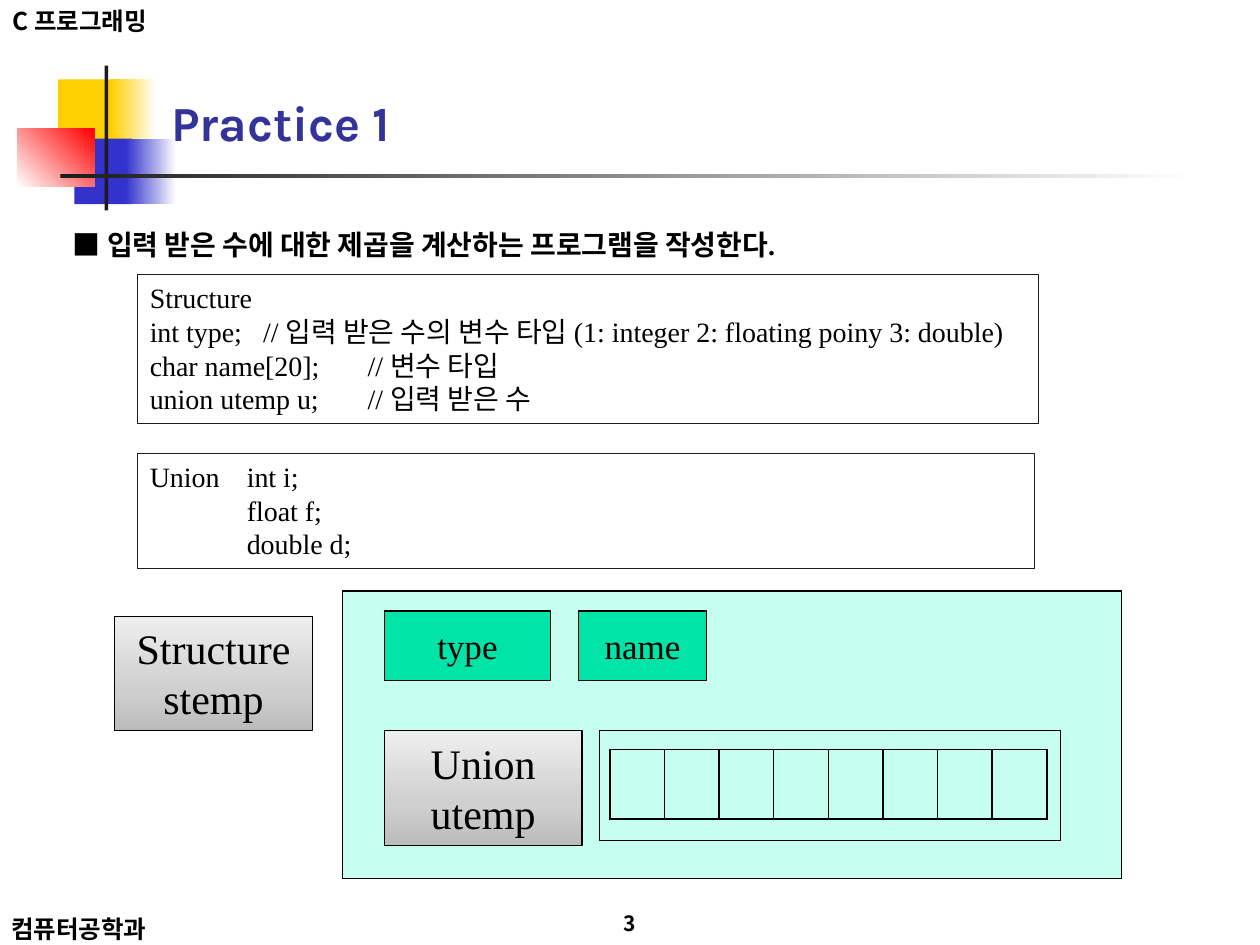
from lxml.etree import SubElement
from pptx import Presentation
from pptx.dml.color import RGBColor
from pptx.enum.shapes import MSO_SHAPE
from pptx.enum.text import MSO_ANCHOR, PP_ALIGN
from pptx.oxml.ns import qn
from pptx.util import Inches, Pt

COLORS = {
    "black": "000000", "white": "FFFFFF", "ink": "1C1C1C", "title": "333399",
    "yellow": "FFCF01", "blue": "3333CC", "red": "FF0000",
    "mint": "C6FFEF", "green": "00E4A8",
    "dark gray": "BBBBBB", "mid gray": "CFCFCF", "light gray": "EEEEEE",
}
GRAY_STOPS = [(0, "dark gray"), (35, "mid gray"), (100, "light gray")]
SERIF, SANS = "Times New Roman", "Noto Sans CJK KR"


def add_box(place, fill=None, angle=0, line=None):
    """Add a rectangle; fill is a colour name or a list of (percent, colour name) stops."""
    box = page.shapes.add_shape(MSO_SHAPE.RECTANGLE, *map(Inches, place))
    box.shadow.inherit = False
    if isinstance(fill, list):
        box.fill.gradient()
        box.fill.gradient_angle = angle
        stops = box._element.spPr.find(qn("a:gradFill")).find(qn("a:gsLst"))
        stops.clear()
        for percent, color in fill:
            stop = SubElement(stops, qn("a:gs"), pos=str(percent * 1000))
            SubElement(stop, qn("a:srgbClr"), val=COLORS[color])
    elif fill:
        box.fill.solid()
        box.fill.fore_color.rgb = RGBColor.from_string(COLORS[fill])
    else:
        box.fill.background()
    if line:
        box.line.color.rgb = RGBColor.from_string(COLORS[line])
        box.line.width = Pt(0.75)
    else:
        box.line.fill.background()
    return box


def write(box, lines, size, font=SERIF, color="black", bold=False,
          anchor=MSO_ANCHOR.TOP, align=PP_ALIGN.LEFT, tabs=None, spacing=None):
    """Fill a shape with lines; tabs gives one tab stop in inches for each line."""
    frame = box.text_frame
    frame.word_wrap = True
    frame.vertical_anchor = anchor
    for index, line in enumerate(lines):
        para = frame.paragraphs[0] if index == 0 else frame.add_paragraph()
        for name, value in {"alignment": align, **(spacing or {})}.items():
            setattr(para, name, value)
        if tabs and tabs[index]:
            tab_list = SubElement(para._p.get_or_add_pPr(), qn("a:tabLst"))
            SubElement(tab_list, qn("a:tab"), pos=str(Inches(tabs[index])), algn="l")
        span = para.add_run()
        span.text = line
        for name, value in {"name": font, "size": Pt(size), "bold": bold}.items():
            setattr(span.font, name, value)
        span.font.color.rgb = RGBColor.from_string(COLORS[color])
        SubElement(span._r.get_or_add_rPr(), qn("a:ea"), typeface=SANS)


deck = Presentation()
deck.slide_width, deck.slide_height = Inches(10), Inches(7.5)
page = deck.slides.add_slide(deck.slide_layouts[6])

# Ornament around the title
for place, fill, angle in [
    ((0.46, 0.63, 0.48, 0.52), "yellow", 0),
    ((0.88, 0.63, 0.36, 0.52), [(0, "yellow"), (100, "white")], 0),
    ((0.59, 1.1, 0.46, 0.52), "blue", 0),
    ((1, 1.1, 0.4, 0.52), [(0, "blue"), (100, "white")], 0),
    ((0.14, 1.02, 0.61, 0.46), [(0, "white"), (100, "red")], 45),
    ((0.83, 0.52, 0.03, 1.15), "ink", 0),
    ((0.48, 1.38, 9, 0.03), [(0, "ink"), (100, "white")], 0),
]:
    add_box(place, fill, angle)

# Header, footer, title, task and page number
label = {"size": 14, "font": SANS, "bold": True, "anchor": MSO_ANCHOR.MIDDLE}
for place, text, style in [
    ((0, 0, 1.7, 0.33), "C 프로그래밍", label),
    ((-0.01, 7.25, 1.7, 0.24), "컴퓨터공학과", label),
    ((1.26, 0.68, 8.32, 0.57), "Practice 1",
     {**label, "size": 28, "font": "Karla", "color": "title"}),
    ((0.48, 1.7, 9.08, 5.25), "■ 입력 받은 수에 대한 제곱을 계산하는 프로그램을 작성한다.",
     {"size": 16, "bold": True, "spacing": {"line_spacing": 1.2, "space_after": Pt(6)}}),
    ((4.54, 7.2, 0.92, 0.25), "3", {**label, "size": 12, "align": PP_ALIGN.CENTER}),
]:
    write(page.shapes.add_textbox(*map(Inches, place)), [text], **style)

# Declarations
for place, lines, tabs in [
    ((1.09, 2.18, 7.15, 1.18),
     ["Structure",
      "int type;\t// 입력 받은 수의 변수 타입 (1: integer 2: floating poiny 3: double)",
      "char name[20];\t// 변수 타입",
      "union utemp u;\t// 입력 받은 수"],
     [None, 0.9, 1.73, 1.73]),
    ((1.09, 3.6, 7.12, 0.91),
     ["Union\tint i;", "\tfloat f;", "\tdouble d;"], [0.77] * 3),
]:
    write(add_box(place, line="ink"), lines, 16, tabs=tabs)

# Memory diagram
add_box((2.72, 4.69, 6.18, 2.28), "mint", line="black")
add_box((4.76, 5.8, 3.66, 0.87), "mint", line="black")
for place, lines in [
    ((0.91, 4.89, 1.57, 0.91), ["Structure", "stemp"]),
    ((3.05, 5.8, 1.57, 0.91), ["Union", "utemp"]),
]:
    write(add_box(place, GRAY_STOPS, 90, "black"), lines, 24, align=PP_ALIGN.CENTER)
for place, text in [((3.05, 4.85, 1.32, 0.55), "type"), ((4.59, 4.85, 1.02, 0.55), "name")]:
    write(add_box(place, "green", line="black"), [text], 20,
          anchor=MSO_ANCHOR.MIDDLE, align=PP_ALIGN.CENTER)

# Eight bytes of the union
table = page.shapes.add_table(1, 8, *map(Inches, (4.84, 5.95, 3.47, 0.55))).table
table.first_row = table.horz_banding = False
for cell in table.iter_cells():
    properties = cell._tc.get_or_add_tcPr()
    for side in ("a:lnL", "a:lnR", "a:lnT", "a:lnB"):
        border = SubElement(properties, qn(side), w=str(Pt(1)))
        SubElement(SubElement(border, qn("a:solidFill")), qn("a:srgbClr"), val=COLORS["black"])
    cell.fill.background()

deck.save("out.pptx")
